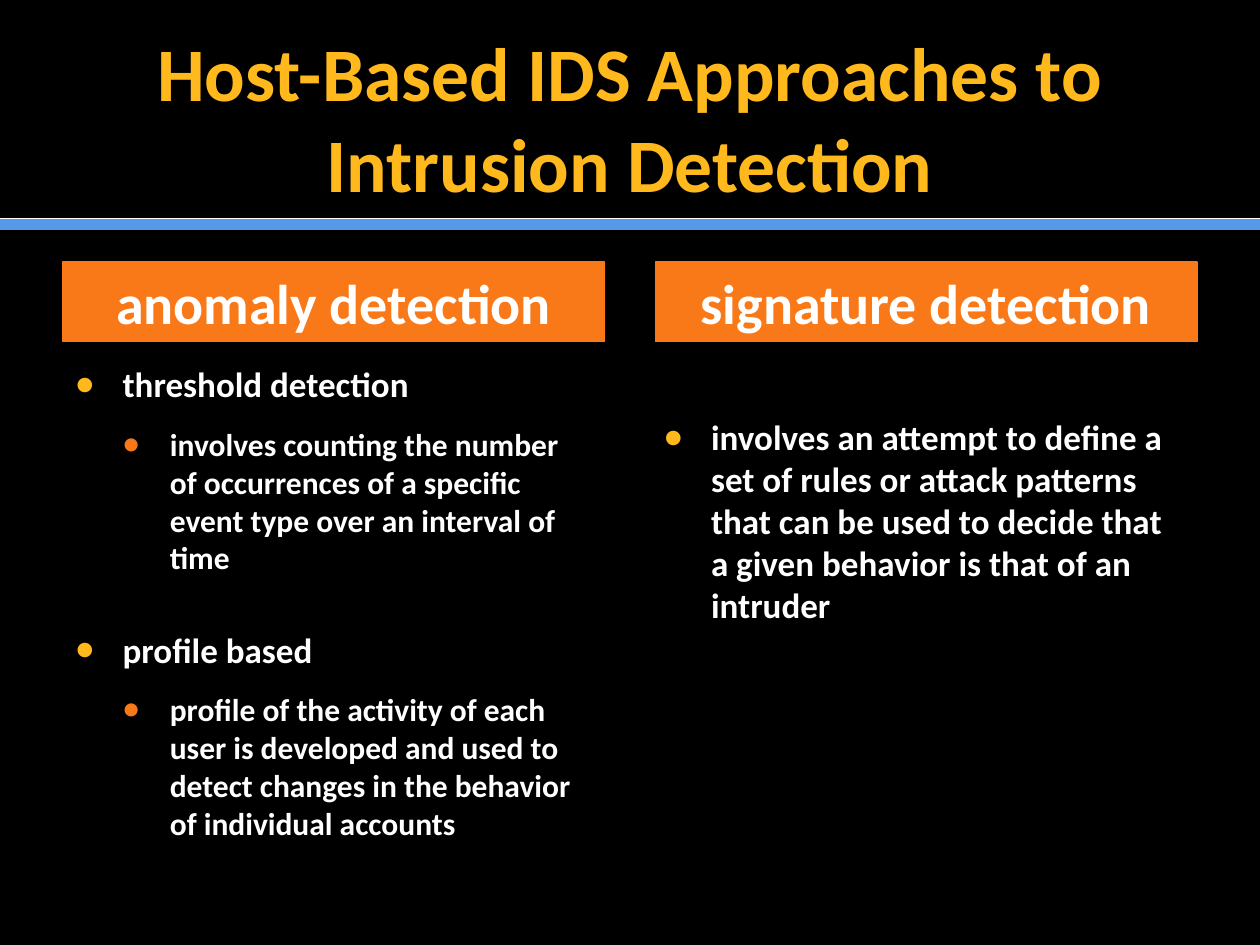
from dataclasses import dataclass
from pptx import Presentation
from pptx.dml.color import RGBColor
from pptx.enum.shapes import MSO_CONNECTOR as CONN, MSO_SHAPE as SHAPE
from pptx.enum.text import MSO_ANCHOR as ANCHOR, PP_ALIGN as ALIGN
from pptx.oxml.ns import qn
from pptx.util import Inches, Pt
from lxml.etree import SubElement

COLORS = {
    "black": "000000",
    "white": "FFFFFF",
    "gold": "FFB91D",
    "orange": "F97817",
    "blue": "5799E8",
}


def rgb(name):
    return RGBColor.from_string(COLORS[name])


@dataclass
class Deck:
    s: object
    font: str = "Calibri"

    def background(self, color):
        fill = self.s.background.fill
        fill.solid()
        fill.fore_color.rgb = rgb(color)

    def rule(self, y, color, width):
        c = self.s.shapes.add_connector(
            CONN.STRAIGHT, 0, Inches(y), Inches(10), Inches(y))
        c.line.color.rgb = rgb(color)
        c.line.width = Pt(width)
        SubElement(c._element.spPr, qn("a:effectLst"))

    def run(self, p, text, size, color):
        r = p.add_run()
        r.text = text
        r.font.name = self.font
        r.font.size = Pt(size)
        r.font.bold = True
        r.font.color.rgb = rgb(color)

    def frame(self, box):
        tf = box.text_frame
        tf.word_wrap = True
        return tf

    def centered(self, box, text, size, color):
        tf = self.frame(box)
        tf.vertical_anchor = ANCHOR.MIDDLE
        p = tf.paragraphs[0]
        p.alignment = ALIGN.CENTER
        self.run(p, text, size, color)

    def textbox(self, *bounds):
        return self.s.shapes.add_textbox(*map(Inches, bounds))

    def title(self, text, *bounds):
        self.centered(self.textbox(*bounds), text, 43.2, "gold")

    def heading(self, text, *bounds):
        sp = self.s.shapes.add_shape(SHAPE.RECTANGLE, *map(Inches, bounds))
        sp.shadow.inherit = False
        sp.fill.solid()
        sp.fill.fore_color.rgb = rgb("orange")
        sp.line.color.rgb = rgb("orange")
        sp.line.width = Pt(0.75)
        self.centered(sp, text, 32, "white")

    def bullet(self, p, level):
        pPr = p._p.get_or_add_pPr()
        pPr.set("marL", str(Inches((level + 1) * 0.375)))
        pPr.set("indent", str(-Inches(0.375)))
        clr = SubElement(pPr, qn("a:buClr"))
        SubElement(clr, qn("a:srgbClr"),
                   val=COLORS["orange" if level else "gold"])
        SubElement(pPr, qn("a:buSzPct"), val="90000")
        SubElement(pPr, qn("a:buFont"), typeface=self.font)
        SubElement(pPr, qn("a:buChar"), char="●")

    def bullets(self, items, *bounds):
        tf = self.frame(self.textbox(*bounds))
        for i, (level, text) in enumerate(items):
            p = tf.add_paragraph() if i else tf.paragraphs[0]
            p.level = level
            self.bullet(p, level)
            if i:
                p.space_before = Pt(3.6 if level else 29.6)
            p.space_after = Pt(0 if level else 8)
            self.run(p, text, 18 if level else 20, "white")


def main():
    prs = Presentation()
    prs.slide_width, prs.slide_height = Inches(10), Inches(7.5)
    deck = Deck(prs.slides.add_slide(prs.slide_layouts[6]))
    deck.background("black")
    deck.rule(1.78, "blue", 7)
    deck.rule(1.73, "white", 0.5)
    deck.title("Host-Based IDS Approaches to Intrusion Detection",
               0.5, 0.3, 9, 1.25)
    for x, text in ((0.5, "anomaly detection"), (5.2, "signature detection")):
        deck.heading(text, x, 2.08, 4.3, 0.63)
    deck.bullets([
        (0, "threshold detection"),
        (1, "involves counting the number of occurrences of a specific "
            "event type over an interval of time"),
        (0, "profile based"),
        (1, "profile of the activity of each user is developed and used to "
            "detect changes in the behavior of individual accounts"),
    ], 0.5, 2.83, 4.3, 4.19)
    deck.bullets([
        (0, "involves an attempt to define a set of rules or attack patterns "
            "that can be used to decide that a given behavior is that of an "
            "intruder"),
    ], 5.17, 3.25, 4.3, 3.77)
    prs.save("out.pptx")


if __name__ == "__main__":
    main()
